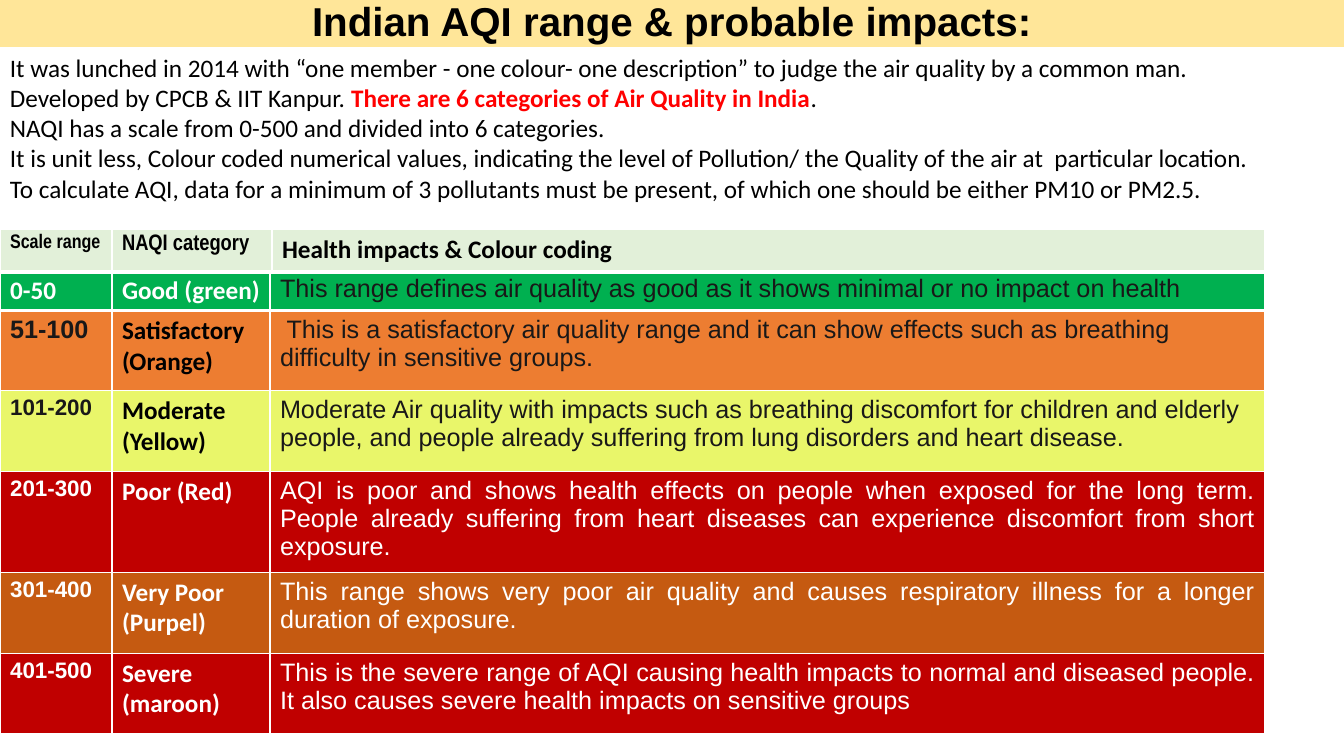
import pptx
import pptx.dml.color
import pptx.enum.text
import pptx.oxml
import pptx.util

RGB = pptx.dml.color.RGBColor
ALIGN = pptx.enum.text.PP_ALIGN
ANCHOR = pptx.enum.text.MSO_ANCHOR
FIT = pptx.enum.text.MSO_AUTO_SIZE

BLACK = RGB(0x00, 0x00, 0x00)
WHITE = RGB(0xFF, 0xFF, 0xFF)
INK = RGB(0x19, 0x18, 0x18)
ALERT = RGB(0xFF, 0x00, 0x00)
CREAM = RGB(0xFF, 0xE6, 0x99)
MINT = RGB(0xE2, 0xF0, 0xD9)
GREEN = RGB(0x00, 0xB0, 0x50)
ORANGE = RGB(0xED, 0x7D, 0x31)
YELLOW = RGB(0xE9, 0xF6, 0x6A)
RED = RGB(0xC0, 0x00, 0x00)
BROWN = RGB(0xC5, 0x5A, 0x11)

SCALE = 12192000 / 1344
NS = "http://schemas.openxmlformats.org/drawingml/2006/main"


def px(count):
    return pptx.util.Emu(round(count * SCALE))


def write(para, text, size=18, font="Calibri", color=BLACK, bold=False, align=None):
    run = para.add_run()
    run.text = text
    run.font.size = pptx.util.Pt(size)
    run.font.name = font
    run.font.color.rgb = color
    run.font.bold = bold
    if align is not None:
        para.alignment = align


def edge(cell, base):
    """Draw white cell borders, 1 pt wide except for the base."""
    props = cell._tc.get_or_add_tcPr()
    for side, width in (("L", 1), ("R", 1), ("T", 1), ("B", base)):
        props.append(pptx.oxml.parse_xml(
            f'<a:ln{side} xmlns:a="{NS}" w="{pptx.util.Pt(width)}">'
            f'<a:solidFill><a:srgbClr val="{WHITE}"/></a:solidFill></a:ln{side}>'))


class Deck:
    def __init__(self):
        self.file = pptx.Presentation()
        self.file.slide_width, self.file.slide_height = px(1344), px(756)
        self.slide = self.file.slides.add_slide(self.file.slide_layouts[5])

    def title(self, text, box, fill):
        shape = self.slide.shapes.title
        shape.left, shape.top, shape.width, shape.height = map(px, box)
        shape.fill.solid()
        shape.fill.fore_color.rgb = fill
        frame = shape.text_frame
        frame.auto_size = FIT.NONE
        frame.vertical_anchor = ANCHOR.MIDDLE
        para = frame.paragraphs[0]
        para.line_spacing = 0.9
        write(para, text, size=28.8, font="Arial", bold=True, align=ALIGN.CENTER)

    def notes(self, lines, box):
        """Add a text box; each line is a list of (text, format) runs."""
        frame = self.slide.shapes.add_textbox(*map(px, box)).text_frame
        frame.word_wrap = True
        frame.auto_size = FIT.SHAPE_TO_FIT_TEXT
        for i, line in enumerate(lines):
            para = frame.add_paragraph() if i else frame.paragraphs[0]
            for text, style in line:
                write(para, text, **style)

    def table(self, rows, top, widths, heights):
        """Add a table; each row is (fill, base border, cells of (text, format))."""
        grid = self.slide.shapes.add_table(
            len(rows), len(widths), px(0), px(top),
            px(sum(widths)), px(sum(heights))).table
        grid.first_row = grid.horz_banding = False
        for col, width in zip(grid.columns, widths):
            col.width = px(width)
        for row, height, (fill, base, cells) in zip(grid.rows, heights, rows):
            row.height = px(height)
            for cell, (text, style) in zip(row.cells, cells):
                edge(cell, base)
                cell.fill.solid()
                cell.fill.fore_color.rgb = fill
                for i, line in enumerate(text.split("\n")):
                    frame = cell.text_frame
                    para = frame.add_paragraph() if i else frame.paragraphs[0]
                    write(para, line, **style)


INTRO = [
    [("It was lunched in 2014 with “one member - one colour- one description” to judge "
      "the air quality by a common man. Developed by CPCB & IIT Kanpur. ", {}),
     ("There are 6 categories of Air Quality in India", dict(color=ALERT, bold=True)),
     (".", {})],
    [("NAQI has a scale from 0-500 and divided into 6 categories.", {})],
    [("It is unit less, Colour coded numerical values, indicating the level of Pollution/ "
      "the Quality of the air at  particular location.", {})],
    [("To calculate AQI, data for a minimum of 3 pollutants must be present, of which one "
      "should be either PM10 or PM2.5.", {})],
]

HEAD = [
    ("Scale range", dict(size=14, font="Arial Narrow", bold=True)),
    ("NAQI category", dict(size=16, font="Arial Narrow", bold=True)),
    ("Health impacts & Colour coding", dict(bold=True)),
]

# fill, range, range format, category, category colour, impact, impact colour, alignment
LEVELS = [
    (GREEN, "0-50", dict(color=WHITE), "Good (green)", WHITE,
     "This range defines air quality as good as it shows minimal or no impact on health",
     INK, None),
    (ORANGE, "51-100", dict(font="Arial", color=INK), "Satisfactory (Orange)", BLACK,
     " This is a satisfactory air quality range and it can show effects such as breathing "
     "difficulty in sensitive groups.", INK, None),
    (YELLOW, "101-200", dict(size=16, font="Arial", color=INK), "Moderate\n(Yellow)", BLACK,
     "Moderate Air quality with impacts such as breathing discomfort for children and "
     "elderly people, and people already suffering from lung disorders and heart disease.",
     INK, None),
    (RED, "201-300", dict(size=16, font="Arial", color=WHITE), "Poor (Red)", WHITE,
     "AQI is poor and shows health effects on people when exposed for the long term. "
     "People already suffering from heart diseases can experience discomfort from short "
     "exposure.", WHITE, ALIGN.JUSTIFY),
    (BROWN, "301-400", dict(size=16, font="Arial", color=WHITE), "Very Poor (Purpel)", WHITE,
     "This range shows very poor air quality and causes respiratory illness for a longer "
     "duration of exposure.", WHITE, ALIGN.JUSTIFY),
    (RED, "401-500", dict(size=16, font="Arial", color=WHITE), "Severe (maroon)", WHITE,
     "This is the severe range of AQI causing health impacts to normal and diseased "
     "people. It also causes severe health impacts on sensitive groups",
     WHITE, ALIGN.JUSTIFY),
]


def main():
    deck = Deck()
    deck.title("Indian AQI range & probable impacts:", (0, 0, 1344, 47), CREAM)
    deck.notes(INTRO, (0, 47, 1302, 163))
    rows = []
    for fill, span, style, kind, tone, impact, ink, align in LEVELS:
        cells = [(span, dict(style, bold=True)),
                 (kind, dict(color=tone, bold=True)),
                 (impact, dict(font="Arial", color=ink, align=align))]
        rows.append((fill, 1 if rows else 3, cells))
    deck.table(rows, 270, (112, 158, 995), (40, 80, 81, 100, 81, 80))
    deck.table([(MINT, 3, HEAD)], 229, (112, 160, 993), (43,))
    deck.file.save("out.pptx")


if __name__ == "__main__":
    main()
